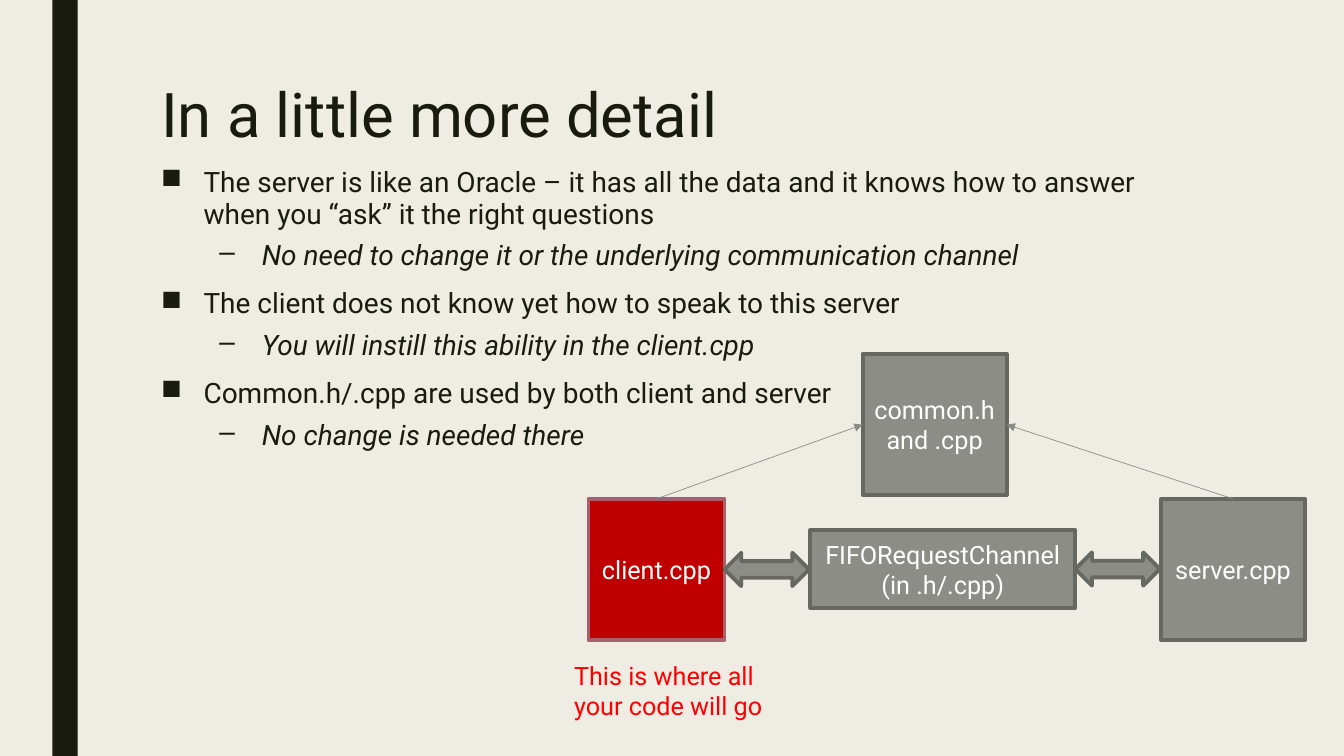
from pptx import Presentation
from pptx.dml.color import RGBColor
from pptx.enum.shapes import MSO_CONNECTOR as Link, MSO_SHAPE as Kind
from pptx.enum.text import MSO_ANCHOR as Anchor, PP_ALIGN as Align
from pptx.oxml.ns import qn
from pptx.util import Cm, Pt
from lxml.etree import SubElement as Sub

INK, GRAY, EDGE = "191B0E", "8C8D86", "686863"
TITLE = "In a little more detail"
POINTS = [
    ("The server is like an Oracle – it has all the data and it knows how to answer "
     "when you “ask” it the right questions",
     "No need to change it or the underlying communication channel"),
    ("The client does not know yet how to speak to this server",
     "You will instill this ability in the client.cpp"),
    ("Common.h/.cpp are used by both client and server",
     "No change is needed there"),
]
LEVELS = [
    dict(left=1.07, before=10, mark="■", italic=False),
    dict(left=2.54, before=5, mark="–", italic=True),
]
HANG = 1.07
BOXES = {
    "client": ("client.cpp", (14.83, 12.57, 3.43, 3.56), "C00000", "A7616D"),
    "server": ("server.cpp", (29.26, 12.57, 3.63, 3.56), GRAY, EDGE),
    "channel": ("FIFORequestChannel (in .h/.cpp)", (20.42, 13.36, 6.68, 1.96), GRAY, EDGE),
    "common": ("common.h and .cpp", (21.74, 8.92, 3.63, 3.56), GRAY, EDGE),
}
ARROW = (2.13, 0.84)
FLOWS = ["client", "channel"]
LINKS = [("client", 1), ("server", 3)]
NOTE = "This is where all\vyour code will go"


def color(code):
    return RGBColor.from_string(code)


def place(area):
    return [Cm(v) for v in area]


def style(para, size, code, italic=False, **form):
    for key, val in form.items():
        setattr(para, key, val)
    for key, val in dict(name="Roboto", size=Pt(size), italic=italic).items():
        setattr(para.font, key, val)
    para.font.color.rgb = color(code)


def shape(kind, area, fill, edge=None):
    item = slide.shapes.add_shape(kind, *place(area))
    item.shadow.inherit = False
    item.fill.solid()
    item.fill.fore_color.rgb = color(fill)
    if edge:
        item.line.color.rgb = color(edge)
        item.line.width = Pt(2.75)
    else:
        item.line.fill.background()
    return item


def label(area):
    frame = slide.shapes.add_textbox(*place(area)).text_frame
    frame.word_wrap = True
    return frame


def bullet(para, left, mark):
    props = para._p.get_or_add_pPr()
    props.set("marL", str(Cm(left)))
    props.set("indent", str(-Cm(HANG)))
    Sub(props, qn("a:buChar")).set("char", mark)


deck = Presentation()
deck.slide_width, deck.slide_height = Cm(33.87), Cm(19.05)
slide = deck.slides.add_slide(deck.slide_layouts[5])
slide.background.fill.solid()
slide.background.fill.fore_color.rgb = color("EFEDE3")
shape(Kind.RECTANGLE, (1.32, 0, 0.64, 19.05), INK)

title = slide.shapes.title
title.left, title.top, title.width, title.height = place((3.81, 1.87, 26.67, 2.18))
title.text_frame.text = TITLE
title.text_frame.vertical_anchor = Anchor.MIDDLE
style(title.text_frame.paragraphs[0], 44, INK, alignment=Align.LEFT, line_spacing=0.89)

body = label((3.81, 4.09, 26.67, 13.39))
for num, pair in enumerate(POINTS):
    for level, text in enumerate(pair):
        look = LEVELS[level]
        para = body.add_paragraph() if num or level else body.paragraphs[0]
        para.text = text
        style(para, 20, INK, look["italic"], level=level, line_spacing=0.94,
              space_before=Pt(look["before"]), space_after=Pt(2))
        bullet(para, look["left"], look["mark"])

boxes = {}
for name, (text, area, fill, edge) in BOXES.items():
    boxes[name] = shape(Kind.RECTANGLE, area, fill, edge)
    frame = boxes[name].text_frame
    frame.text, frame.word_wrap = text, True
    frame.vertical_anchor = Anchor.MIDDLE
    style(frame.paragraphs[0], 18, "FFFFFF", alignment=Align.CENTER)

note = label((14.22, 16.51, 5.56, 1.8))
note.text = NOTE
style(note.paragraphs[0], 18, "FF0000")

for name in FLOWS:
    left, top, width, height = BOXES[name][1]
    wide, high = ARROW
    mid = top + height / 2
    shape(Kind.LEFT_RIGHT_ARROW, (left + width, mid - high / 2, wide, high), GRAY, EDGE)

for name, side in LINKS:
    link = slide.shapes.add_connector(Link.STRAIGHT, 0, 0, 0, 0)
    link.begin_connect(boxes[name], 0)
    link.end_connect(boxes["common"], side)
    link.line.color.rgb = color(GRAY)
    link.line.width = Pt(0.5)
    Sub(link.line._get_or_add_ln(), qn("a:tailEnd")).set("type", "triangle")
    Sub(link._element.spPr, qn("a:effectLst"))

deck.save("out.pptx")
